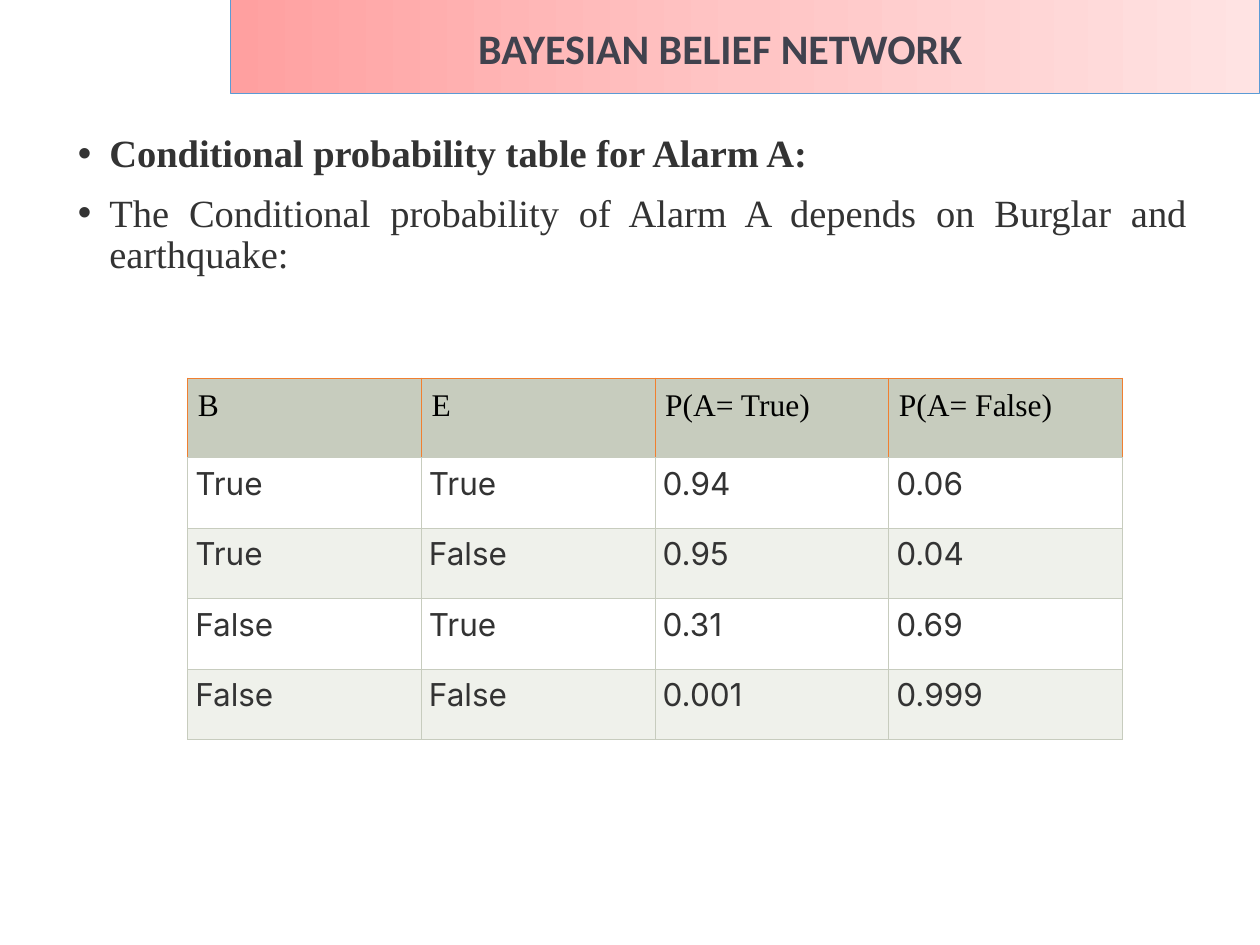
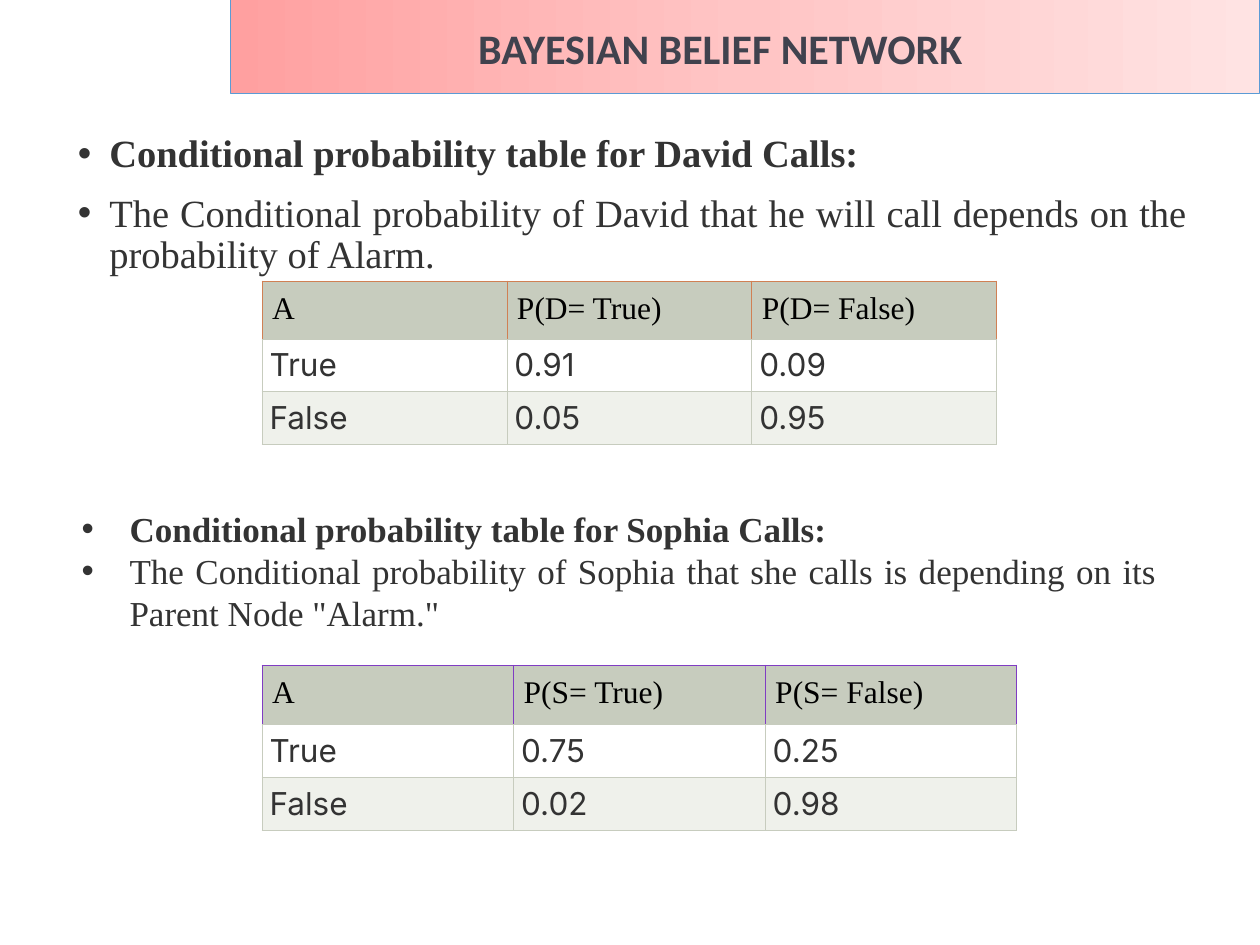
from lxml import etree
from pptx import Presentation
from pptx import util as u
from pptx.dml.color import RGBColor
from pptx.enum import shapes, text
from pptx.oxml.ns import qn

COLORS = {
    "band_line": "5B9BD5", "title": "40424E", "body": "333333", "head_text": "000000",
    "head_fill": "C7CCBE", "grid": "C7CCBE", "row_odd": "FFFFFF", "row_even": "EFF1EB",
    "alarm_edge": "F07F30", "david_edge": "D08054", "sophia_edge": "803CC3",
}
BAND_STOPS = {0: "FFA0A0", 50: "FFC5C5", 100: "FFE3E3"}
SERIF = "Times New Roman"
BODY_BOX = (0.52, 1.02, 9, 4.95)
BODY_STYLE = {"size": 22, "indent": 0.25, "spacing": 0.9, "before": 10}
NOTE_STYLE = {"size": 20, "indent": 0.38, "spacing": 1.0, "before": 0}


def rgb(name):
    return RGBColor.from_string(COLORS[name])


def inches(box):
    return [u.Inches(value) for value in box]


def set_font(font, size, name, color, bold=False):
    for key, value in {"size": u.Pt(size), "name": name, "bold": bold}.items():
        setattr(font, key, value)
    font.color.rgb = rgb(color)


def add_color(parent, value):
    fill = etree.SubElement(parent, qn("a:solidFill"))
    etree.SubElement(fill, qn("a:srgbClr"), val=value)


# Title band shared by both slides
def add_band(slide, box):
    band = slide.shapes.add_shape(shapes.MSO_SHAPE.RECTANGLE, *inches(box))
    band.shadow.inherit = False
    band.fill.gradient()
    band.fill.gradient_angle = 0
    stops = band.fill._xPr.find(qn("a:gradFill")).find(qn("a:gsLst"))
    for stop in list(stops):
        stops.remove(stop)
    for percent, value in BAND_STOPS.items():
        stop = etree.SubElement(stops, qn("a:gs"), pos=str(percent * 1000))
        etree.SubElement(stop, qn("a:srgbClr"), val=value)
    band.line.color.rgb = rgb("band_line")
    band.line.width = u.Pt(0.5)


def add_title(slide, box, wording):
    frame = slide.shapes.add_textbox(*inches(box)).text_frame
    frame.word_wrap = True
    frame.vertical_anchor = text.MSO_ANCHOR.MIDDLE
    heading = frame.paragraphs[0]
    heading.text = wording
    heading.alignment = text.PP_ALIGN.CENTER
    set_font(heading.font, 24, "Calibri", "title", True)


# Bold heading followed by a plain statement, both bulleted
def add_bullets(slide, box, style, lines):
    frame = slide.shapes.add_textbox(*inches(box)).text_frame
    frame.word_wrap = True
    for index, line in enumerate(lines):
        item = frame.add_paragraph() if index else frame.paragraphs[0]
        item.text = line
        props = item._p.get_or_add_pPr()
        indent = u.Inches(style["indent"])
        props.set("marL", str(indent))
        props.set("indent", str(-indent))
        etree.SubElement(props, qn("a:buFont"), typeface="Arial")
        etree.SubElement(props, qn("a:buChar"), char="•")
        item.alignment = text.PP_ALIGN.JUSTIFY
        item.line_spacing = style["spacing"]
        item.space_before = u.Pt(style["before"] if index else 0)
        set_font(item.font, style["size"], SERIF, "body", index == 0)


# Probability tables
def set_borders(cell, edge):
    props = cell._tc.get_or_add_tcPr()
    for side in ("lnL", "lnR", "lnT", "lnB"):
        line = etree.SubElement(props, qn(f"a:{side}"), w=str(u.Pt(0.5)))
        add_color(line, COLORS["grid" if side == "lnB" else edge])


def fill_cell(cell, wording, is_head, fill, edge):
    set_borders(cell, edge)
    cell.fill.solid()
    cell.fill.fore_color.rgb = rgb(fill)
    for side in ("left", "top", "right", "bottom"):
        setattr(cell, f"margin_{side}", u.Inches(0.08 if is_head else 0.06))
    entry = cell.text_frame.paragraphs[0]
    entry.text = wording
    if is_head:
        set_font(entry.font, 18, SERIF, "head_text")
    else:
        entry.alignment = text.PP_ALIGN.JUSTIFY
        set_font(entry.font, 18, "Inter", "body")


def add_probabilities(slide, place, head_height, row_height, edge, rows):
    left, top, width = place
    height = head_height + row_height * (len(rows) - 1)
    grid = slide.shapes.add_table(len(rows), len(rows[0]),
                                  *inches((left, top, width, height))).table
    grid.first_row = grid.horz_banding = False
    for column in grid.columns:
        column.width = u.Inches(width / len(rows[0]))
    for r, row in enumerate(rows):
        is_head = r == 0
        grid.rows[r].height = u.Inches(head_height if is_head else row_height)
        fill = "head_fill" if is_head else "row_odd" if r % 2 else "row_even"
        for c, wording in enumerate(row):
            fill_cell(grid.cell(r, c), wording, is_head, fill, edge if is_head else "grid")


# Slides
def start_slide(deck):
    slide = deck.slides.add_slide(deck.slide_layouts[6])
    add_band(slide, (1.83, -0.01, 8.17, 0.75))
    add_title(slide, (2.56, 0, 6.39, 0.75), "BAYESIAN BELIEF NETWORK ")
    return slide


def build_alarm(deck):
    slide = start_slide(deck)
    add_bullets(slide, BODY_BOX, BODY_STYLE, [
        "Conditional probability table for Alarm A:",
        "The Conditional probability of Alarm A depends on Burglar and earthquake:"])
    add_probabilities(slide, (1.49, 3, 7.42), 0.63, 0.56, "alarm_edge", [
        ("B", "E", "P(A= True)", "P(A= False)"),
        ("True", "True", "0.94", "0.06"),
        ("True", "False", "0.95", "0.04"),
        ("False", "True", "0.31", "0.69"),
        ("False", "False", "0.001", "0.999")])


def build_calls(deck):
    slide = start_slide(deck)
    add_bullets(slide, BODY_BOX, BODY_STYLE, [
        "Conditional probability table for David Calls:",
        "The Conditional probability of David that he will call depends on the "
        "probability of Alarm."])
    add_probabilities(slide, (2.08, 2.23, 5.83), 0.44, 0.41, "david_edge", [
        ("A", "P(D= True)", "P(D= False)"),
        ("True", "0.91", "0.09"),
        ("False", "0.05", "0.95")])
    add_bullets(slide, (0.55, 3.98, 8.73, 1.11), NOTE_STYLE, [
        "Conditional probability table for Sophia Calls:",
        "The Conditional probability of Sophia that she calls is depending on its "
        'Parent Node "Alarm."'])
    add_probabilities(slide, (2.08, 5.28, 5.99), 0.47, 0.41, "sophia_edge", [
        ("A", "P(S= True)", "P(S= False)"),
        ("True", "0.75", "0.25"),
        ("False", "0.02", "0.98")])


def main():
    deck = Presentation()
    deck.slide_width, deck.slide_height = inches((10, 7.5))
    build_alarm(deck)
    build_calls(deck)
    deck.save("out.pptx")


if __name__ == "__main__":
    main()
